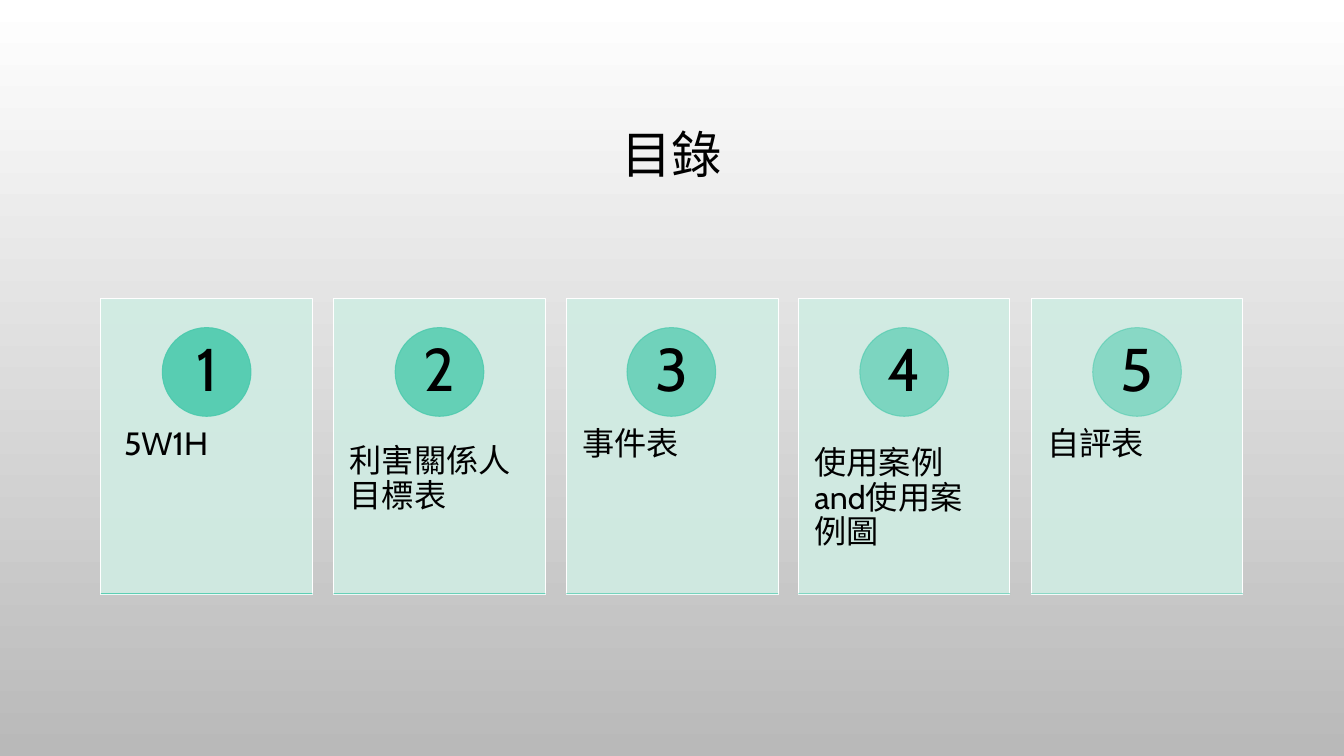
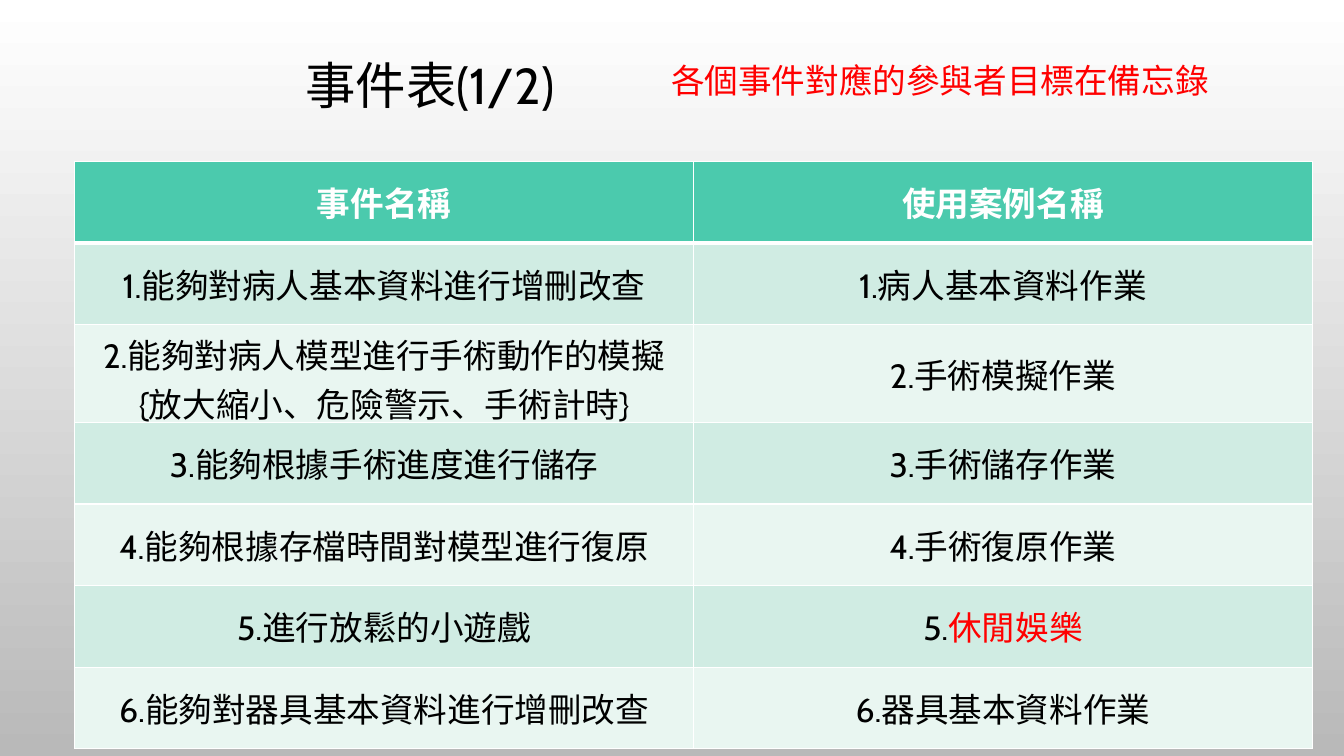
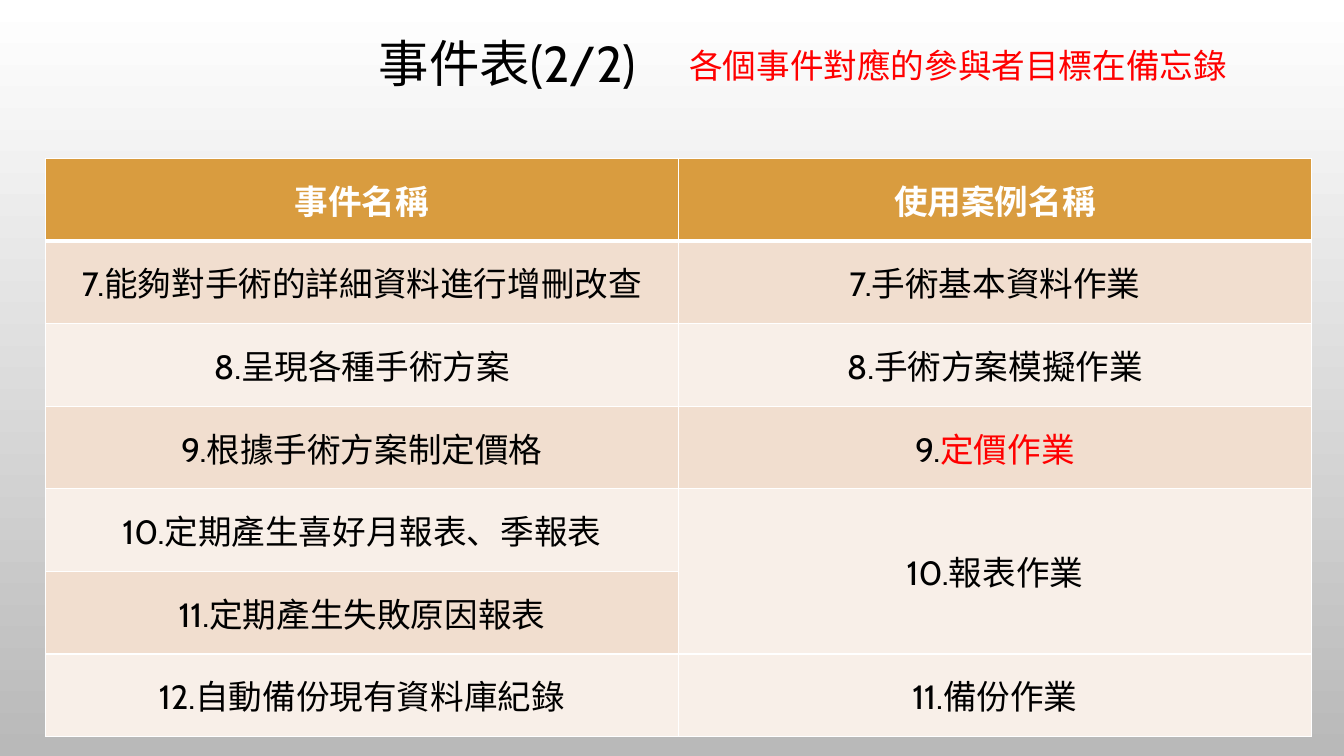
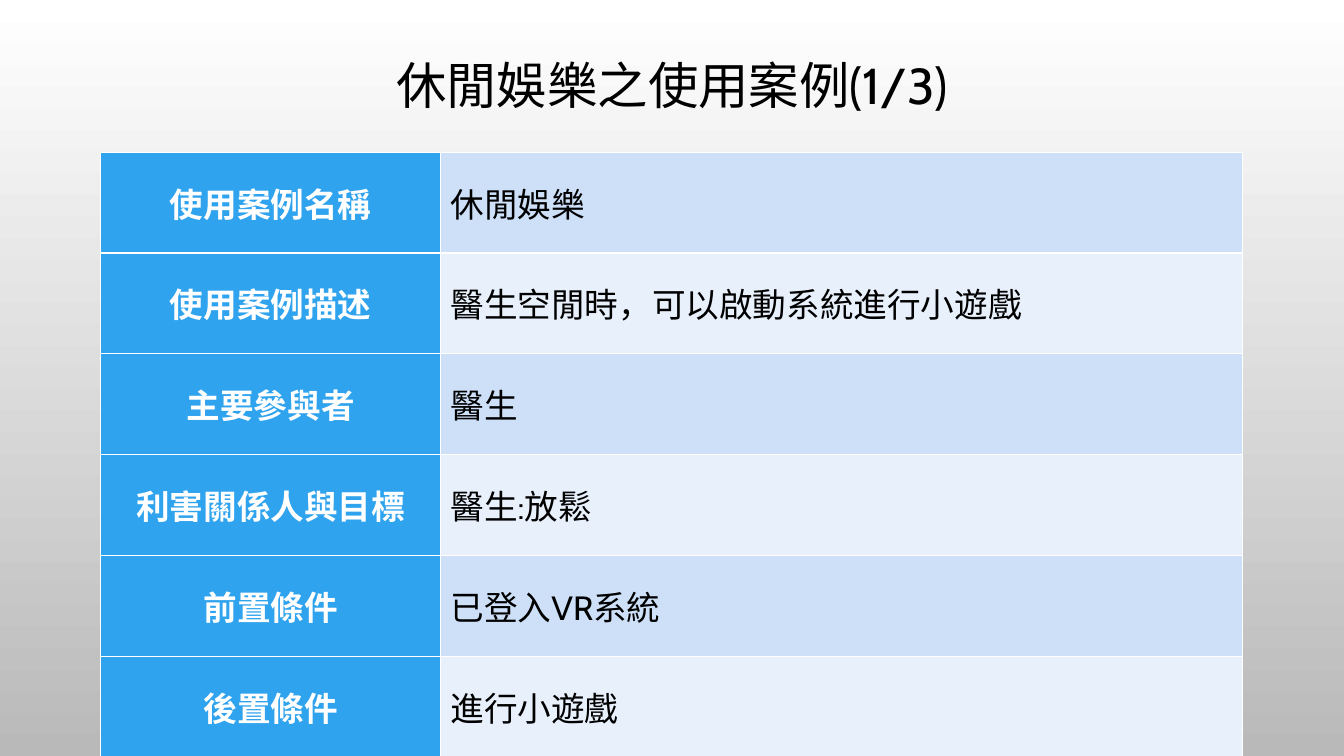
from lxml import etree
from pptx import Presentation
from pptx import util as u
from pptx.dml.color import RGBColor
from pptx.enum import shapes, text
from pptx.oxml.ns import qn

FONT = "Cabin"
BLACK, WHITE, RED = "000000", "FFFFFF", "FF0000"
GREY, GREEN, MINT = "B9B9B9", "4BCAAD", "D0ECE3"
TEAL = (GREEN, MINT, "E9F6F1")
GOLD = ("D99C3F", "F1DECF", "F8EFE8")
BLUE = ("2FA3EE", "CDE0F8", "E8F0FC")
LEFT, MID = text.PP_ALIGN.LEFT, text.PP_ALIGN.CENTER
CENTRE = text.MSO_ANCHOR.MIDDLE
NOTE = "各個事件對應的參與者目標在備忘錄"
HEAD = ("事件名稱", "使用案例名稱")
TOPICS = (" 5W1H", "利害關係人目標表", "事件表", "使用案例and使用案例圖", "自評表")
EVENTS = (
    HEAD,
    ("1.能夠對病人基本資料進行增刪改查", "1.病人基本資料作業"),
    ("2.能夠對病人模型進行手術動作的模擬{放大縮小、危險警示、手術計時}", "2.手術模擬作業"),
    ("3.能夠根據手術進度進行儲存", "3.手術儲存作業"),
    ("4.能夠根據存檔時間對模型進行復原", "4.手術復原作業"),
    ("5.進行放鬆的小遊戲", "5.|休閒娛樂"),
    ("6.能夠對器具基本資料進行增刪改查", "6.器具基本資料作業"),
)
MORE = (
    HEAD,
    ("7.能夠對手術的詳細資料進行增刪改查", "7.手術基本資料作業"),
    ("8.呈現各種手術方案", "8.手術方案模擬作業"),
    ("9.根據手術方案制定價格", "9.|定價作業"),
    ("10.定期產生喜好月報表、季報表", "10.報表作業"),
    ("11.定期產生失敗原因報表", ""),
    ("12.自動備份現有資料庫紀錄", "11.備份作業"),
)
CASE = (
    ("使用案例名稱", "休閒娛樂"),
    ("使用案例描述", "醫生空閒時，可以啟動系統進行小遊戲"),
    ("主要參與者", "醫生"),
    ("利害關係人與目標", "醫生:放鬆"),
    ("前置條件", "已登入VR系統"),
    ("後置條件", "進行小遊戲"),
)


def px(n):
    return u.Emu(round(n) * 9144)


def box(*sides):
    return [px(n) for n in sides]


def rgb(code):
    return RGBColor.from_string(code)


def put(item, **form):
    for key, value in form.items():
        setattr(item, key, value)


def paint(fill, code):
    fill.solid()
    fill.fore_color.rgb = rgb(code)


def stroke(line, code, size=0.75):
    paint(line.fill, code)
    line.width = u.Pt(size)


def fade(shape, rate):
    for code in shape._element.spPr.iter(qn("a:srgbClr")):
        etree.SubElement(code, qn("a:alpha")).set("val", str(rate * 1000))


def write(para, words, size, code=BLACK, bold=False, **form):
    put(para, **form)
    for spot, part in enumerate(words.split("|")):
        run = para.add_run()
        run.text = part
        put(run.font, name=FONT, size=u.Pt(size), bold=bold)
        run.font.color.rgb = rgb(RED if spot else code)


def label(page, area, words, size, code=BLACK, frame=None, **form):
    body = page.shapes.add_textbox(*box(*area)).text_frame
    put(body, **{"word_wrap": True, **(frame or {})})
    write(body.paragraphs[0], words, size, code, **form)


def insets(side, top):
    return dict(margin_left=px(side), margin_right=px(side),
                margin_top=px(top), margin_bottom=px(top))


def sheet(deck, title, area):
    page = deck.slides.add_slide(deck.slide_layouts[6])
    fill = page.background.fill
    fill.gradient()
    fill.gradient_angle = 270
    for stop, code in zip(fill.gradient_stops, (WHITE, GREY)):
        stop.color.rgb = rgb(code)
    label(page, area, title, 36, frame=dict(vertical_anchor=CENTRE),
          alignment=MID, line_spacing=0.9)
    return page


def solid(page, kind, area, code, rate):
    shape = page.shapes.add_shape(kind, *box(*area))
    shape.shadow.inherit = False
    paint(shape.fill, code)
    fade(shape, rate)
    return shape


def card(page, area, index, words):
    x, y, wide, tall = area
    rate = 90 - 9 * index
    kind = shapes.MSO_SHAPE
    back = solid(page, kind.RECTANGLE, area, MINT, 90)
    stroke(back.line, WHITE)
    label(page, (x, y + 111, wide, 176), words, 23,
          frame=insets(16, 36), line_spacing=0.9)
    disc = page.shapes.add_shape(kind.OVAL, *box(x + 61, y + 29, 88, 88))
    disc.shadow.inherit = False
    paint(disc.fill, GREEN)
    stroke(disc.line, GREEN)
    fade(disc, rate)
    label(page, (x + 74, y + 42, 62, 62), str(index + 1), 43,
          frame=dict(insets(7, 1), vertical_anchor=CENTRE),
          alignment=MID, line_spacing=0.9)
    base = page.shapes.add_connector(
        shapes.MSO_CONNECTOR.STRAIGHT,
        *box(x, y + tall - 1, x + wide, y + tall - 1))
    stroke(base.line, GREEN)
    fade(base, rate - 4)
    etree.SubElement(base._element.spPr, qn("a:effectLst"))


def cards(page, area, topics):
    x, y, wide, tall = area
    size = 210
    step = (wide - size) / (len(topics) - 1)
    for index, words in enumerate(topics):
        card(page, (x + index * step, y, size, tall), index, words)


def edge(cell, base):
    prop = cell._tc.get_or_add_tcPr()
    for spot, side in enumerate("LRTB"):
        line = etree.Element(qn("a:ln" + side))
        line.set("w", str(u.Pt(base if side == "B" else 1)))
        fill = etree.SubElement(line, qn("a:solidFill"))
        etree.SubElement(fill, qn("a:srgbClr")).set("val", WHITE)
        prop.insert(spot, line)


def grid(page, area, rows, cols, tones, side=False, tall=None):
    x, y, wide, high = area
    table = page.shapes.add_table(len(rows), len(cols), *box(*area)).table
    put(table, first_row=False, horz_banding=False)
    for col, size in zip(table.columns, cols):
        col.width = px(size)
    for r, row in enumerate(rows):
        table.rows[r].height = px((tall or {}).get(r, high / len(rows)))
        for c, words in enumerate(row):
            head = c == 0 if side else r == 0
            band = (r if side else r + 1) % 2
            cell = table.cell(r, c)
            edge(cell, 3 if head and not side else 1)
            paint(cell.fill, tones[0] if head else tones[1 + band])
            cell.vertical_anchor = CENTRE
            if words:
                write(cell.text_frame.paragraphs[0], words, 24,
                      WHITE if head else BLACK, head,
                      alignment=LEFT if side and not head else MID)
    return table


def note(page, x, y):
    label(page, (x, y, 559, 50), NOTE, 24, RED,
          frame=dict(word_wrap=False,
                     auto_size=text.MSO_AUTO_SIZE.SHAPE_TO_FIT_TEXT))


def main():
    deck = Presentation()
    put(deck, slide_width=u.Inches(13.333), slide_height=px(750))

    page = sheet(deck, "目錄", (100, 68, 1133, 175))
    cards(page, (100, 296, 1133, 294), TOPICS)

    page = sheet(deck, "事件表(1/2)", (-35, 0, 923, 175))
    grid(page, (74, 160, 1228, 567), EVENTS, (614, 614), TEAL, tall={2: 97})
    note(page, 656, 55)

    page = sheet(deck, "事件表(2/2)", (-63, -22, 1133, 175))
    table = grid(page, (45, 157, 1257, 574), MORE, (628, 628), GOLD)
    table.cell(4, 1).merge(table.cell(5, 1))
    note(page, 674, 40)

    page = sheet(deck, "休閒娛樂之使用案例(1/3)", (100, 0, 1133, 175))
    grid(page, (100, 151, 1133, 599), CASE, (337, 796), BLUE, side=True)

    deck.save("out.pptx")


if __name__ == "__main__":
    main()
